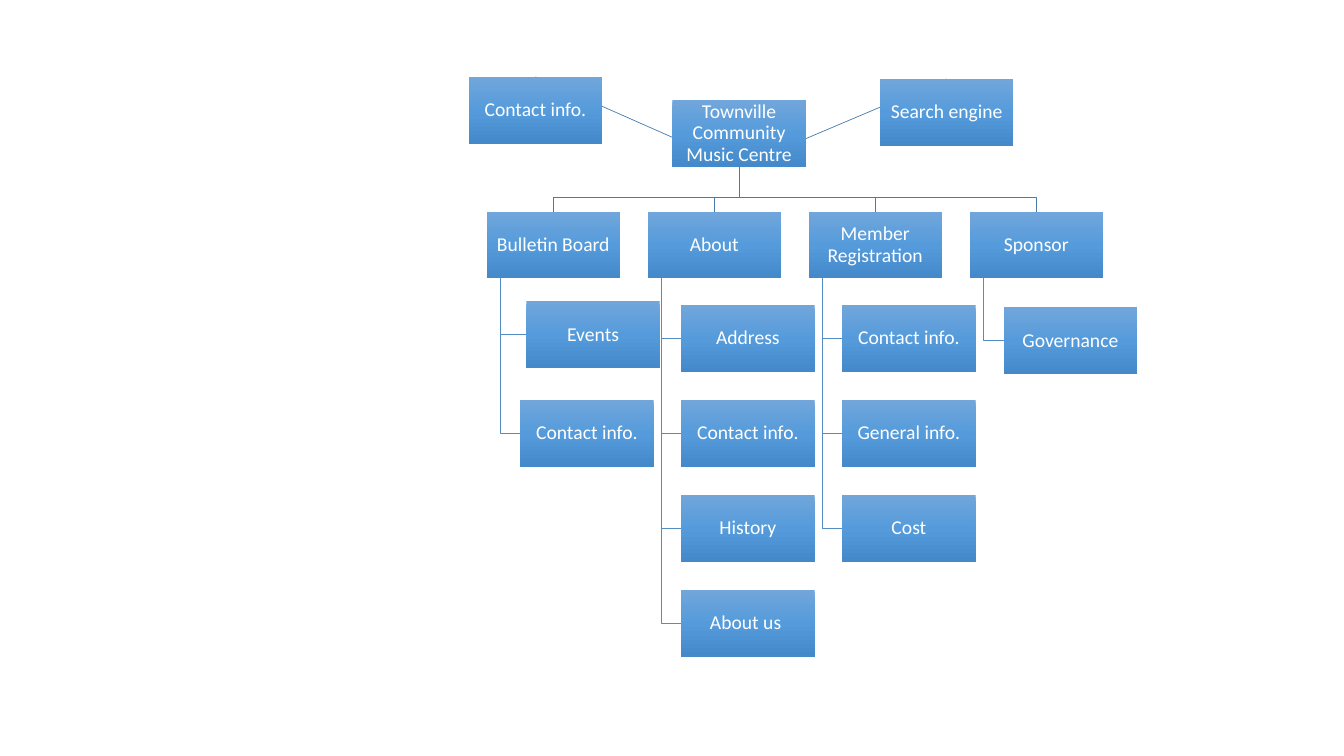
from copy import deepcopy
from pptx import Presentation
from pptx.dml.color import RGBColor
from pptx.enum.shapes import MSO_SHAPE
from pptx.enum.text import MSO_ANCHOR, PP_ALIGN
from pptx.oxml.ns import qn
from pptx.util import Pt

COLORS = {"top": "71A6DB", "middle": "559BDB", "bottom": "448ACA",
          "trunk": "497CAB", "branch": "538DC1", "text": "FFFFFF"}
BOX_W, BOX_H = 95.3, 47.7
COL_X, COL_STEP = 347.6, 115
HEAD_Y, CHILD_Y, ROW_STEP = 151.2, 218, 67.75
CHILD_INDENT, SPINE_INDENT = 24, 9.6
ROOT_X, ROOT_Y, BUS_Y = 480.3, 71.5, 141.1

sections = [
    ("Bulletin Board", ["Events", "Contact info."]),
    ("About", ["Address", "Contact info.", "History", "About us "]),
    ("Member Registration", ["Contact info.", "General info.", "Cost"]),
    ("Sponsor", ["Governance"]),
]
side_boxes = [("Contact info.", 334.8, 54.9), ("Search engine", 628.6, 56.4)]
# Boxes that sit slightly off the grid
nudges = {"Events": (4.4, -2.7), "Governance": (0.4, 1.6)}

prs = Presentation()
prs.slide_width, prs.slide_height = Pt(960), Pt(540)
s = prs.slides.add_slide(prs.slide_layouts[6])


def add_line(points, color):
    pts = [(Pt(x), Pt(y)) for x, y in points]
    builder = s.shapes.build_freeform(*pts[0])
    builder.add_line_segments(pts[1:], close=False)
    sp = builder.convert_to_shape()
    sp.shadow.inherit = False
    sp.fill.background()
    sp.line.color.rgb = RGBColor.from_string(COLORS[color])
    sp.line.width = Pt(0.5)


def add_box(text, x, y):
    sp = s.shapes.add_shape(MSO_SHAPE.RECTANGLE, Pt(x), Pt(y), Pt(BOX_W), Pt(BOX_H))
    sp.shadow.inherit = False
    sp.line.fill.background()
    sp.fill.gradient()
    sp.fill.gradient_angle = 270
    stop_list = sp._element.spPr.find(qn("a:gradFill")).find(qn("a:gsLst"))
    stop_list.append(deepcopy(stop_list[0]))
    for stop, name, position in zip(sp.fill.gradient_stops,
                                    ("top", "middle", "bottom"), (0, 0.5, 1)):
        stop.color.rgb = RGBColor.from_string(COLORS[name])
        stop.position = position
    tf = sp.text_frame
    tf.word_wrap = True
    tf.vertical_anchor = MSO_ANCHOR.MIDDLE
    tf.margin_left = tf.margin_right = tf.margin_top = tf.margin_bottom = Pt(0.7)
    tf.text = text
    p = tf.paragraphs[0]
    p.alignment = PP_ALIGN.CENTER
    p.line_spacing = 0.9
    r = p.runs[0]
    r.font.name = "Calibri"
    r.font.size = Pt(14)
    r.font.color.rgb = RGBColor.from_string(COLORS["text"])


# Collect boxes while drawing the lines, so that the lines lie behind
boxes = [("Townville Community Music Centre", ROOT_X, ROOT_Y)] + side_boxes
root_mid, root_bottom = ROOT_X + BOX_W / 2, ROOT_Y + BOX_H

# Lines from the centre to the two side boxes
for text, x, y in side_boxes:
    add_line([(root_mid, root_bottom), (x + BOX_W / 2, y)], "trunk")

# Lines to the sections and on to their pages
for col, (head, pages) in enumerate(sections):
    x = COL_X + col * COL_STEP
    mid, spine = x + BOX_W / 2, x + SPINE_INDENT
    boxes.append((head, x, HEAD_Y))
    add_line([(root_mid, root_bottom), (root_mid, BUS_Y), (mid, BUS_Y), (mid, HEAD_Y)],
             "trunk")
    for row, page in enumerate(pages):
        dx, dy = nudges.get(page, (0, 0))
        page_x = x + CHILD_INDENT + dx
        page_y = CHILD_Y + row * ROW_STEP + dy
        page_mid = page_y + BOX_H / 2
        boxes.append((page, page_x, page_y))
        add_line([(spine, HEAD_Y + BOX_H), (spine, page_mid), (page_x, page_mid)], "branch")

# Boxes
for text, x, y in boxes:
    add_box(text, x, y)

prs.save("out.pptx")
